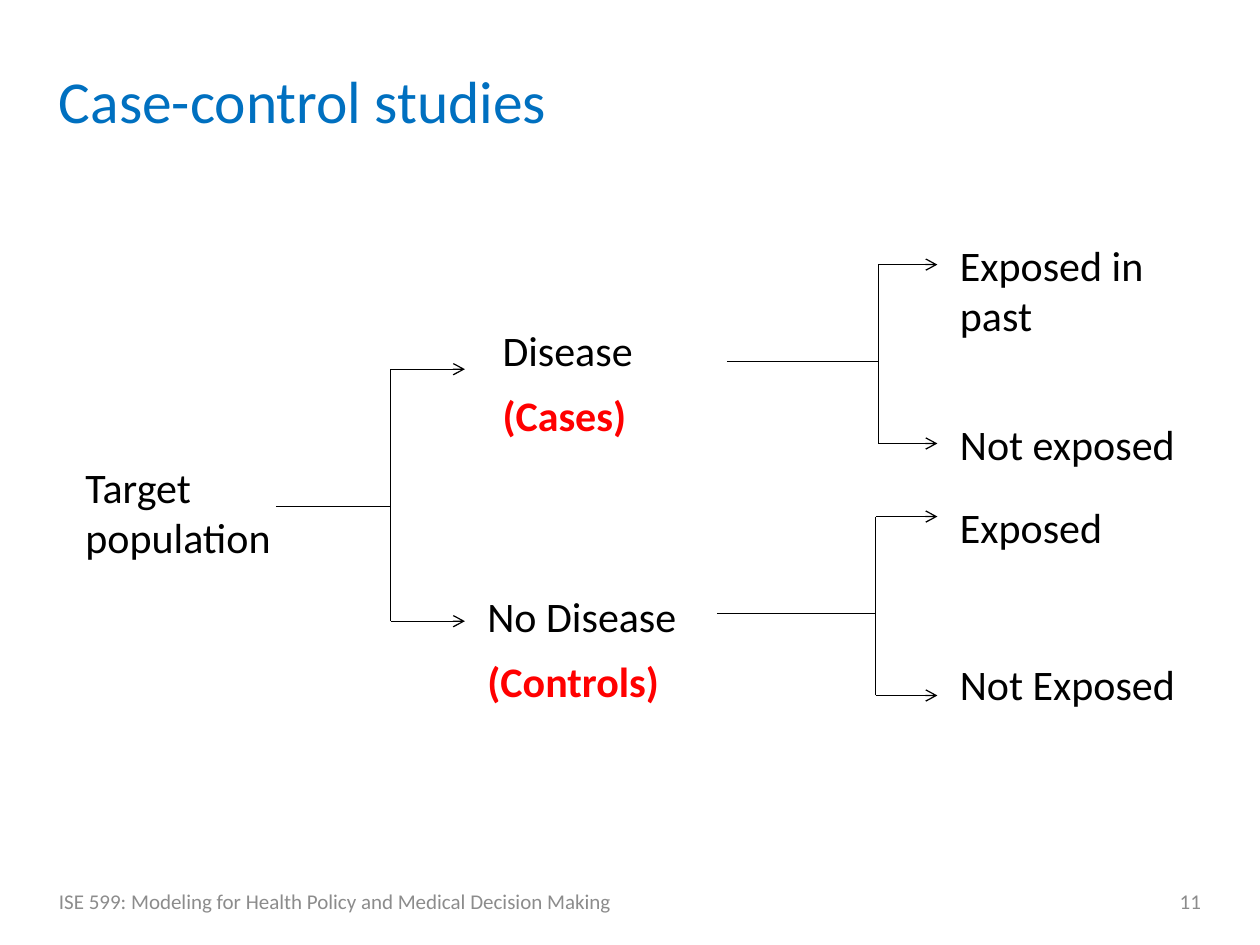
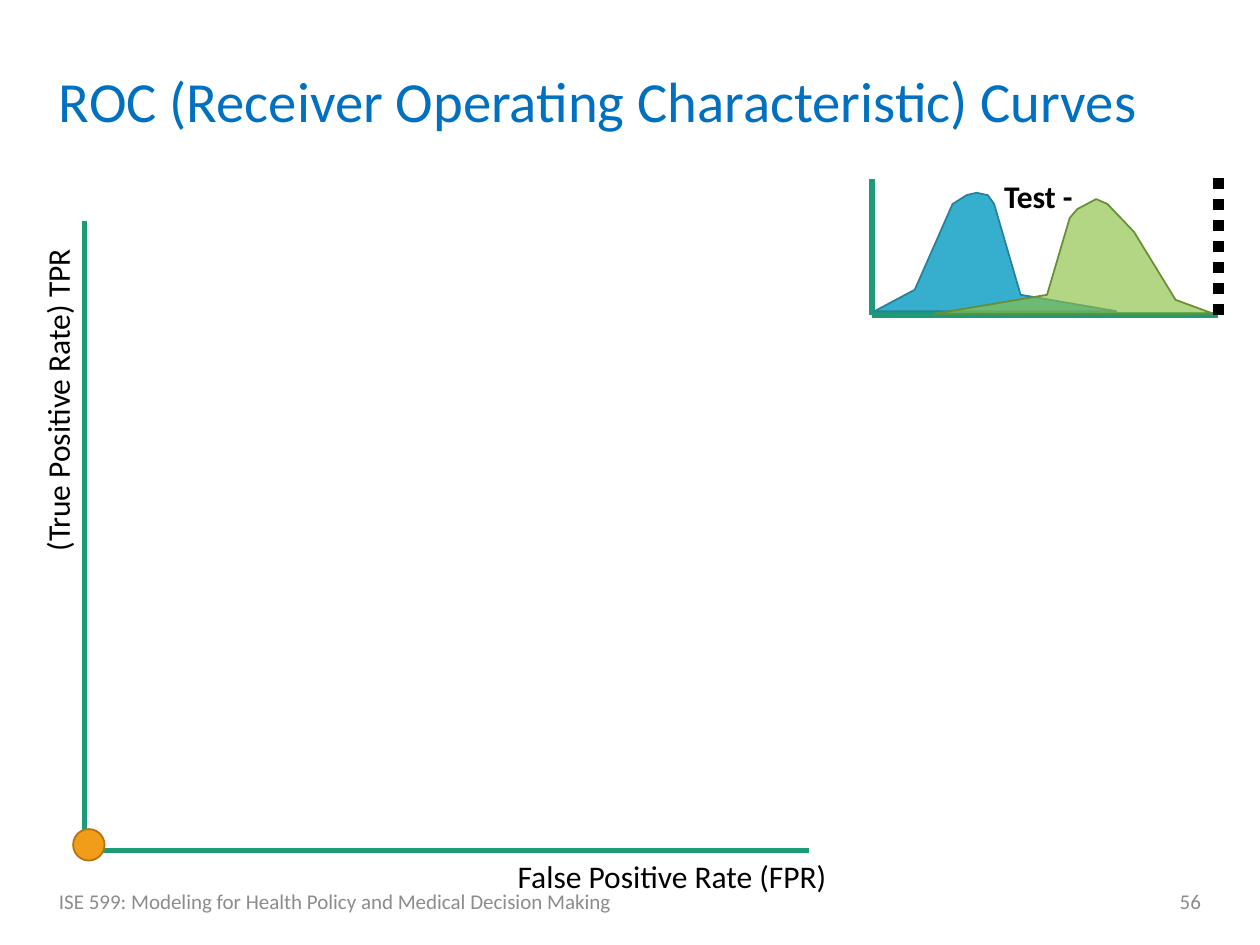
from pptx import Presentation
from pptx.dml.color import RGBColor
from pptx.enum.dml import MSO_LINE
from pptx.enum.shapes import MSO_CONNECTOR as Connector, MSO_SHAPE as Shape
from pptx.enum.text import MSO_ANCHOR as Anchor, PP_ALIGN as Align
from pptx.oxml.ns import qn
from pptx.util import Inches, Pt
from lxml.etree import SubElement

COLUMNS, ROWS = 10, 7.5
FONT = "Calibri"
COLORS = {
    "title": "0070C0", "footer": "8C8C8C", "text": "000000", "group": "FF0000",
    "axis": "1D9A78", "negative": "36AFCE", "negative_edge": "288198",
    "positive": "8BC145", "positive_edge": "678F33",
    "point": "F19D19", "point_edge": "B27412",
}
MARGIN = 0.37
CONTENT_WIDTH = COLUMNS - 2 * MARGIN
FOOTER = "ISE 599: Modeling for Health Policy and Medical Decision Making"

TREE_LABELS = [
    ("Target population", (0.58, 3.61, 1.84, 0.86)),
    ("Exposed in past", (7.52, 1.85, 1.92, 0.86)),
    ("Not exposed", (7.52, 3.27, 1.92, 0.45)),
    ("Exposed", (7.52, 3.93, 1.92, 0.45)),
    ("Not Exposed", (7.52, 5.18, 2, 0.45)),
]
STUDY_GROUPS = [
    ("Disease", "(Cases)", (3.89, 2.57, 1.93, 0.67)),
    ("No Disease", "(Controls)", (3.77, 4.68, 2.17, 0.67)),
]
BRANCHES = [
    dict(stem=2.19, trunk=3.1, tip=3.69, middle=4.02, ends=(2.93, 4.93)),
    dict(stem=5.77, trunk=6.97, tip=7.44, middle=2.87, ends=(2.1, 3.52)),
    dict(stem=5.69, trunk=6.95, tip=7.44, middle=4.87, ends=(4.1, 5.52)),
]

AXES = [
    dict(left=6.92, top=1.42, right=9.67, bottom=2.5),
    dict(left=0.67, top=1.75, right=6.42, bottom=6.75),
]
DISTRIBUTIONS = [
    ("negative", None, [(6.94, 2.47), (7.26, 2.3), (7.56, 1.62), (7.67, 1.55), (7.75, 1.53),
                        (7.84, 1.55), (7.89, 1.62), (8.1, 2.34), (8.86, 2.47)]),
    ("positive", 65, [(7.42, 2.49), (8.31, 2.34), (8.49, 1.73), (8.55, 1.66), (8.7, 1.58),
                      (8.79, 1.62), (9, 1.84), (9.33, 2.38), (9.63, 2.49)]),
]
THRESHOLD = dict(x=9.67, top=1.38, bottom=2.5)
POINT = (0.58, 6.58, 0.25, 0.25)


def rgb(name):
    return RGBColor.from_string(COLORS[name])


def add_text(slide, lines, box, size=24, color="text", bold=False, align=Align.LEFT,
             anchor=Anchor.TOP, spacing=1, gap=0, wrap=True, rotation=0):
    shape = slide.shapes.add_textbox(*map(Inches, box))
    shape.rotation = rotation
    frame = shape.text_frame
    frame.word_wrap = wrap
    frame.vertical_anchor = anchor
    for index, line in enumerate([lines] if isinstance(lines, str) else lines):
        text, line_color, line_bold = (line, color, bold) if isinstance(line, str) else line
        paragraph = frame.paragraphs[0] if index == 0 else frame.add_paragraph()
        paragraph.text = text
        paragraph.alignment = align
        paragraph.line_spacing = spacing
        if index:
            paragraph.space_before = Pt(gap)
        font = paragraph.font
        font.name, font.size, font.bold = FONT, Pt(size), line_bold
        font.color.rgb = rgb(line_color)


def add_line(slide, start, end, color="text", width=0.75, arrow=False, dash=None):
    connector = slide.shapes.add_connector(Connector.STRAIGHT, *map(Inches, (*start, *end)))
    connector.line.color.rgb = rgb(color)
    connector.line.width = Pt(width)
    if dash:
        connector.line.dash_style = dash
    properties = connector._element.spPr
    if arrow:
        SubElement(properties.find(qn("a:ln")), qn("a:tailEnd"), type="arrow")
    SubElement(properties, qn("a:effectLst"))


def paint(shape, name, opacity=None):
    shape.shadow.inherit = False
    shape.fill.solid()
    shape.fill.fore_color.rgb = rgb(name)
    shape.line.color.rgb = rgb(f"{name}_edge")
    shape.line.width = Pt(1)
    if opacity:
        color = shape._element.spPr.find(qn("a:solidFill"))[0]
        SubElement(color, qn("a:alpha"), val=str(opacity * 1000))


def add_slide(presentation, title, number, title_size):
    slide = presentation.slides.add_slide(presentation.slide_layouts[6])
    add_text(slide, title, (MARGIN, 0.4, CONTENT_WIDTH, 0.85), size=title_size,
             color="title", anchor=Anchor.MIDDLE, spacing=0.9)
    footer = dict(size=12, color="footer", anchor=Anchor.MIDDLE)
    add_text(slide, FOOTER, (MARGIN, 6.95, 5.67, 0.4), **footer)
    add_text(slide, str(number), (7.21, 6.95, 2.42, 0.4), align=Align.RIGHT, **footer)
    return slide


def add_branch(slide, stem, trunk, tip, middle, ends):
    add_line(slide, (stem, middle), (trunk, middle))
    add_line(slide, (trunk, ends[1]), (trunk, ends[0]))
    for end in ends:
        add_line(slide, (trunk, end), (tip, end), arrow=True)


def add_axes(slide, left, top, right, bottom):
    add_line(slide, (left, top), (left, bottom), color="axis", width=3)
    add_line(slide, (left, bottom), (right, bottom), color="axis", width=3)


def build_case_control(presentation):
    slide = add_slide(presentation, "Case-control studies", 11, 34)
    for branch in BRANCHES:
        add_branch(slide, **branch)
    for text, box in TREE_LABELS:
        add_text(slide, text, box)
    for status, group, box in STUDY_GROUPS:
        add_text(slide, [status, (group, "group", True)], box, spacing=0.9, gap=11.5)


def build_roc(presentation):
    slide = add_slide(presentation, "ROC (Receiver Operating Characteristic) Curves", 56, 32.4)
    for axes in AXES:
        add_axes(slide, **axes)
    for name, opacity, outline in DISTRIBUTIONS:
        points = [(Inches(x), Inches(y)) for x, y in outline]
        builder = slide.shapes.build_freeform(*points[0])
        builder.add_line_segments(points[1:], close=True)
        paint(builder.convert_to_shape(), name, opacity)
    add_line(slide, (THRESHOLD["x"], THRESHOLD["bottom"]), (THRESHOLD["x"], THRESHOLD["top"]),
             width=6, dash=MSO_LINE.ROUND_DOT)
    add_text(slide, "Test -", (7.87, 1.36, 1.01, 0.4), size=18, bold=True)
    add_text(slide, "(True Positive Rate) TPR", (-0.86, 2.96, 2.63, 0.4), size=18,
             wrap=False, rotation=270)
    add_text(slide, "False Positive Rate (FPR)", (4.01, 6.75, 2.68, 0.4), size=18, wrap=False)
    paint(slide.shapes.add_shape(Shape.OVAL, *map(Inches, POINT)), "point")


def main():
    presentation = Presentation()
    presentation.slide_width, presentation.slide_height = Inches(COLUMNS), Inches(ROWS)
    build_case_control(presentation)
    build_roc(presentation)
    presentation.save("out.pptx")


if __name__ == "__main__":
    main()
